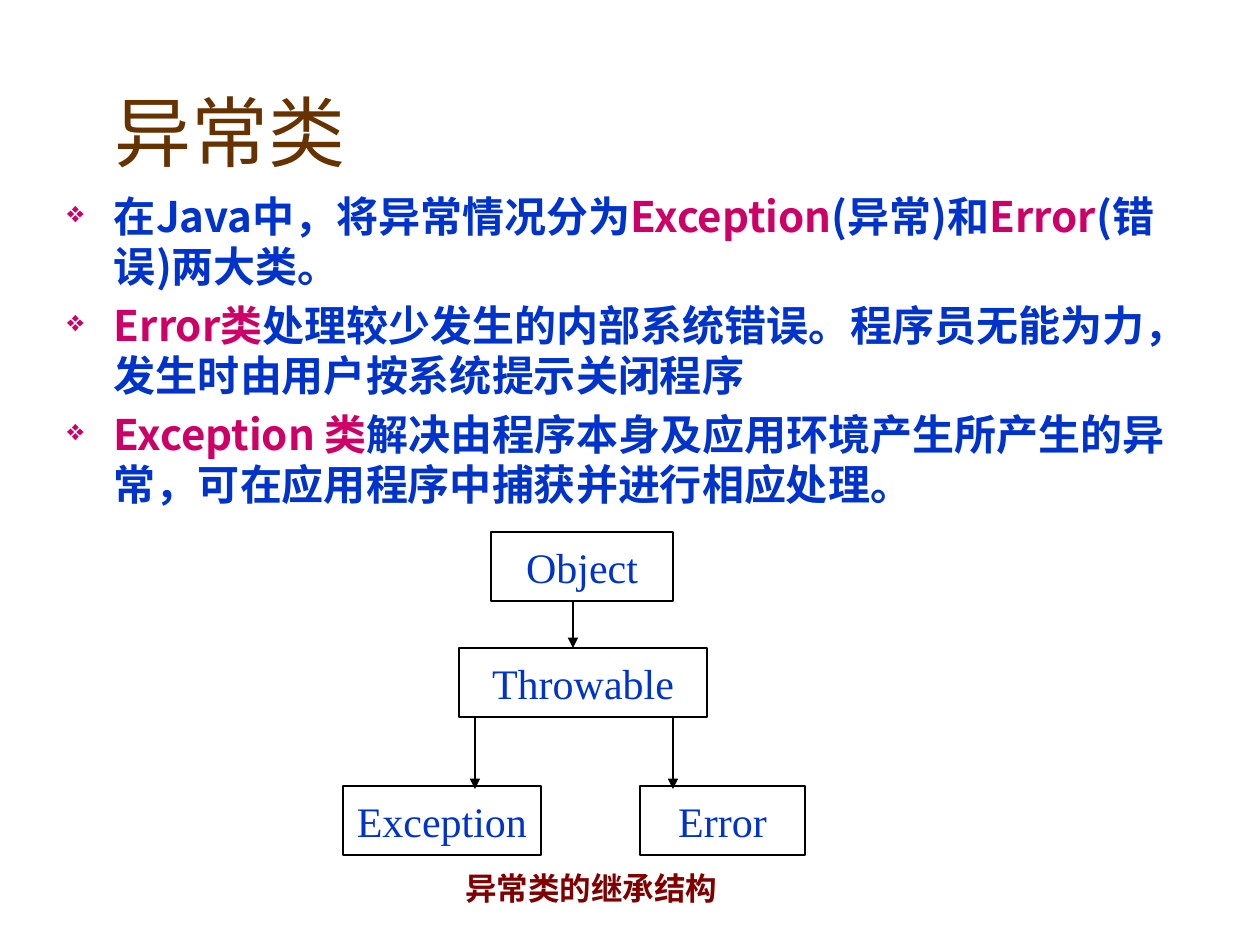
from lxml import etree
from pptx import Presentation
from pptx.dml.color import RGBColor
from pptx.enum.shapes import MSO_CONNECTOR, MSO_SHAPE
from pptx.enum.text import MSO_ANCHOR, PP_ALIGN
from pptx.oxml.ns import qn
from pptx.util import Emu, Pt

RECT, LINE = MSO_SHAPE.RECTANGLE, MSO_CONNECTOR.STRAIGHT
MIDDLE, TOP = MSO_ANCHOR.MIDDLE, MSO_ANCHOR.TOP
LEFT, CENTER = PP_ALIGN.LEFT, PP_ALIGN.CENTER
SCALE = 914400 / 126
HAN = "Noto Sans CJK SC"
COLORS = {"brown": "663300", "blue": "0033CC", "pink": "CC0066",
          "red": "800000", "black": "000000"}
FONTS = {
    "title": {"name": "Arial", "size": Pt(44), "bold": False},
    "body": {"name": HAN, "size": Pt(24), "bold": True},
    "node": {"name": "Times New Roman", "size": Pt(24), "bold": False},
    "note": {"name": "Times New Roman", "size": Pt(18), "bold": True},
}
POINTS = [
    [("在Java中，将异常情况分为", "blue"), ("Exception", "pink"),
     ("(异常)和", "blue"), ("Error", "pink"), ("(错误)两大类。", "blue")],
    [("Error类", "pink"),
     ("处理较少发生的内部系统错误。程序员无能为力，发生时由用户按系统提示关闭程序", "blue")],
    [("Exception 类", "pink"),
     ("解决由程序本身及应用环境产生所产生的异常，可在应用程序中捕获并进行相应处理。", "blue")],
]
# Left, top and width inside the tree box
NODES = [("Object", 148, 0, 182), ("Throwable", 116, 116, 248),
         ("Exception", 0, 254, 198), ("Error", 297, 254, 165)]
NODE_H = 69
# Column, start and end inside the tree box
ARROWS = [(230, 69, 116), (132, 185, 257), (330, 185, 257)]


def px(n):
    """Turn pixels into EMU."""
    return Emu(round(n * SCALE))


def color(name):
    """Look up a named colour."""
    return RGBColor.from_string(COLORS[name])


def add(parent, tag, **attrs):
    """Append a drawing element with its attributes."""
    return etree.SubElement(parent, qn(tag), attrs)


def write(para, text, style, tone):
    """Add one run of styled text."""
    run = para.add_run()
    run.text = text
    for key, value in FONTS[style].items():
        setattr(run.font, key, value)
    run.font.color.rgb = color(tone)
    add(run.font._element, "a:ea", typeface=HAN)


def frame(shape, anchor, sides=(0, 0, 0, 0)):
    """Set wrap, anchor and insets, and give back the text frame."""
    text = shape.text_frame
    names = ("margin_left", "margin_top", "margin_right", "margin_bottom")
    form = {"word_wrap": True, "vertical_anchor": anchor,
            **dict(zip(names, map(px, sides)))}
    for key, value in form.items():
        setattr(text, key, value)
    return text


def label(slide, box, text, style, tone, align, sides=(0, 0, 0, 0)):
    """Place one line of text in a box."""
    shape = slide.shapes.add_textbox(*map(px, box))
    para = frame(shape, MIDDLE, sides).paragraphs[0]
    para.alignment = align
    write(para, text, style, tone)


def bullets(slide, box):
    """Place the bulleted points."""
    shape = slide.shapes.add_textbox(*map(px, box))
    text = frame(shape, TOP, (13, 6, 13, 6))
    for i, runs in enumerate(POINTS):
        para = text.add_paragraph() if i else text.paragraphs[0]
        form = {"alignment": LEFT, "line_spacing": Pt(28.6),
                "space_before": Pt(5)}
        for key, value in form.items():
            setattr(para, key, value)
        props = para._p.get_or_add_pPr()
        props.set("marL", str(px(47)))
        props.set("indent", str(px(-47)))
        add(add(props, "a:buClr"), "a:srgbClr", val=COLORS["pink"])
        add(props, "a:buSzPct", val="70000")
        add(props, "a:buChar", char="❖")
        for words, tone in runs:
            write(para, words, "body", tone)


def stroke(line):
    """Give a thin black line."""
    line.color.rgb = color("black")
    line.width = Pt(0.75)


def tree(slide, left, top):
    """Draw the class tree from its top left corner."""
    group = slide.shapes.add_group_shape()
    for name, x, y, width in NODES:
        node = group.shapes.add_shape(
            RECT, *map(px, (left + x, top + y, width, NODE_H)))
        node.shadow.inherit = False
        node.fill.background()
        stroke(node.line)
        para = frame(node, MIDDLE).paragraphs[0]
        para.alignment = CENTER
        write(para, name, "node", "blue")
    for x, start, end in ARROWS:
        arrow = group.shapes.add_connector(
            LINE, *map(px, (left + x, top + start, left + x, top + end)))
        stroke(arrow.line)
        add(arrow.line._get_or_add_ln(), "a:tailEnd", type="triangle")
        add(arrow._element.spPr, "a:effectLst")


def main():
    """Build and save the slide."""
    deck = Presentation()
    deck.slide_width, deck.slide_height = px(1260), px(945)
    slide = deck.slides.add_slide(deck.slide_layouts[6])
    label(slide, (83, 76, 795, 110), "异常类", "title", "brown", LEFT,
          (32, 6, 13, 6))
    tree(slide, 343, 532)
    label(slide, (453, 849, 277, 77), "异常类的继承结构", "note", "red", CENTER)
    bullets(slide, (54, 185, 1150, 348))
    deck.save("out.pptx")


main()
